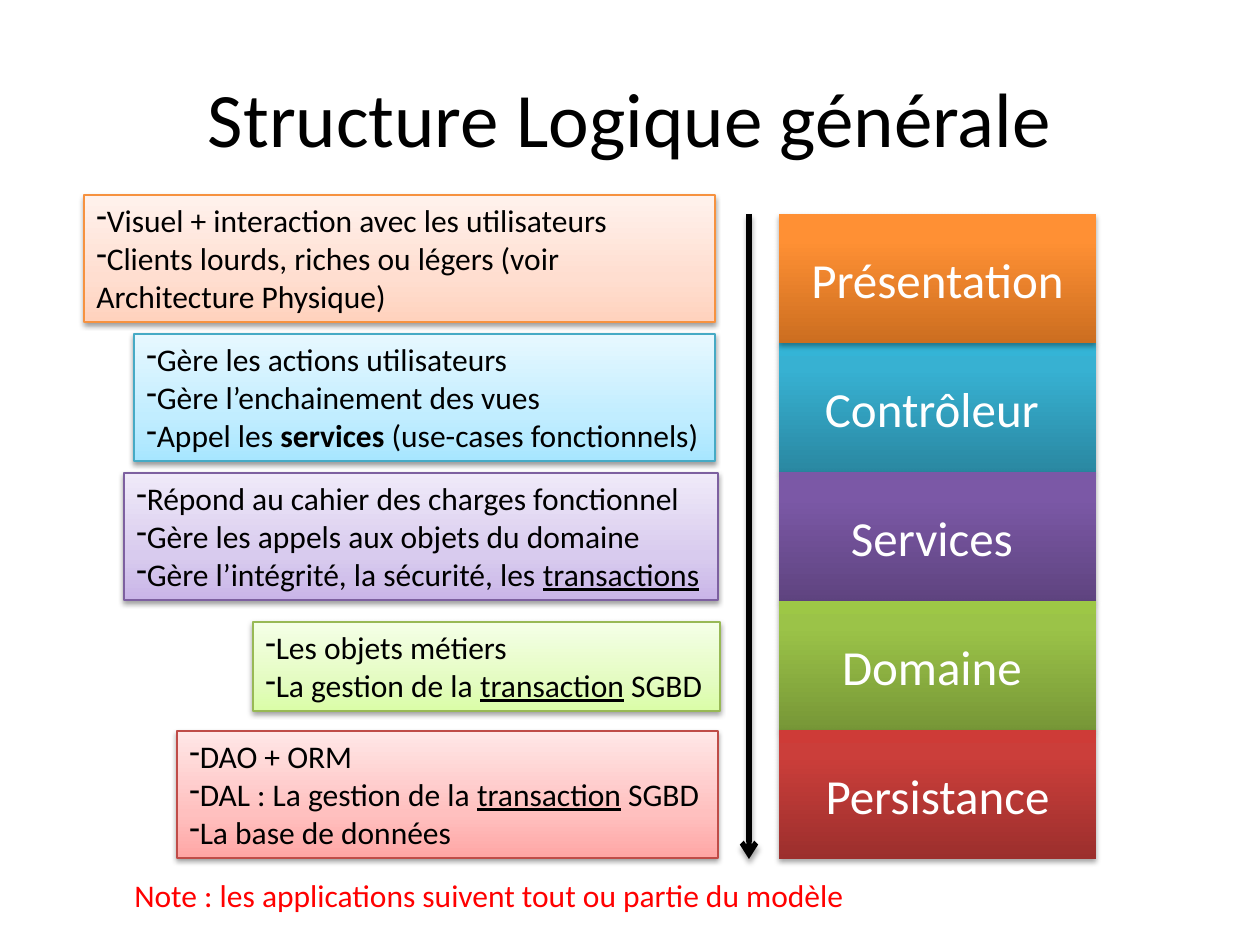
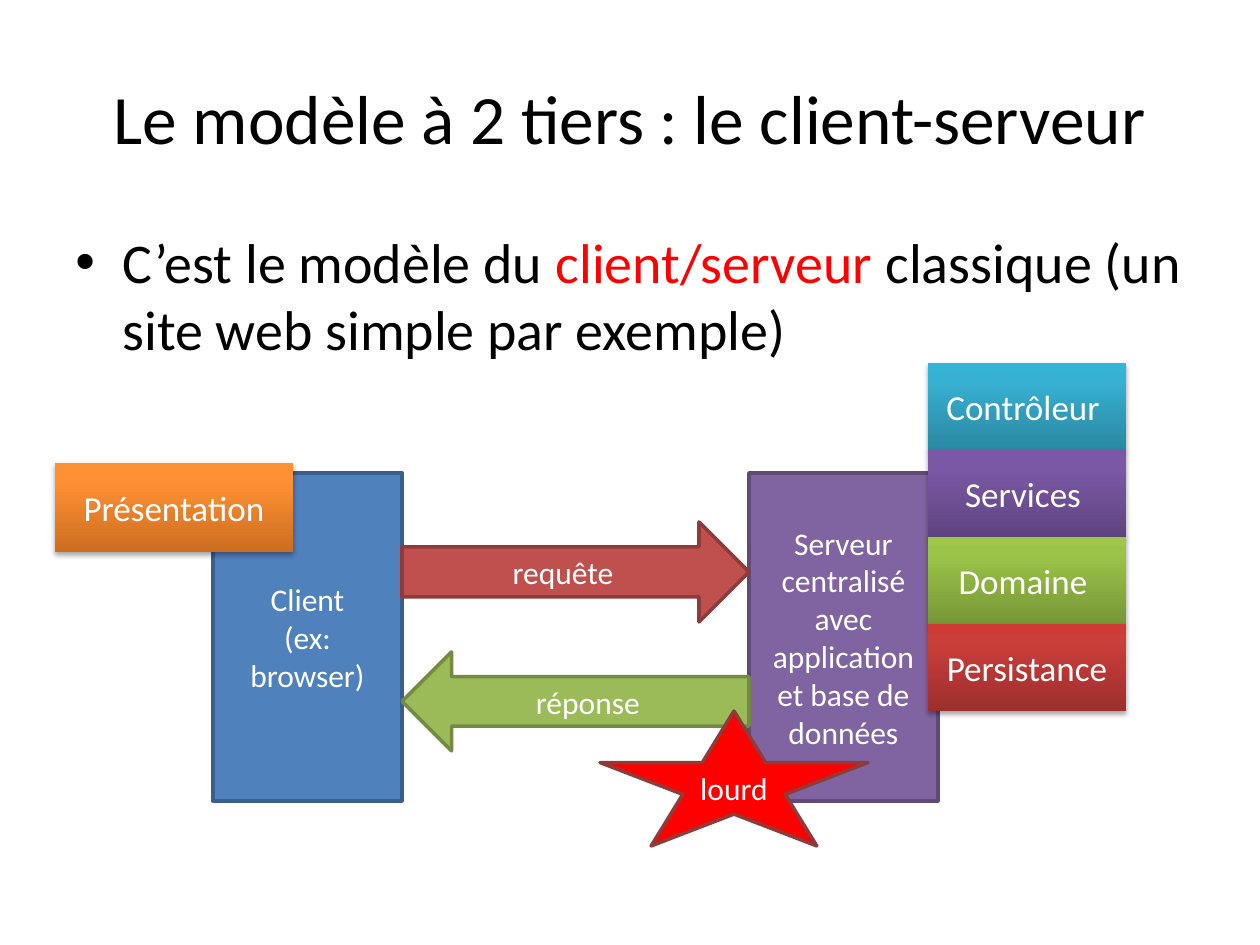
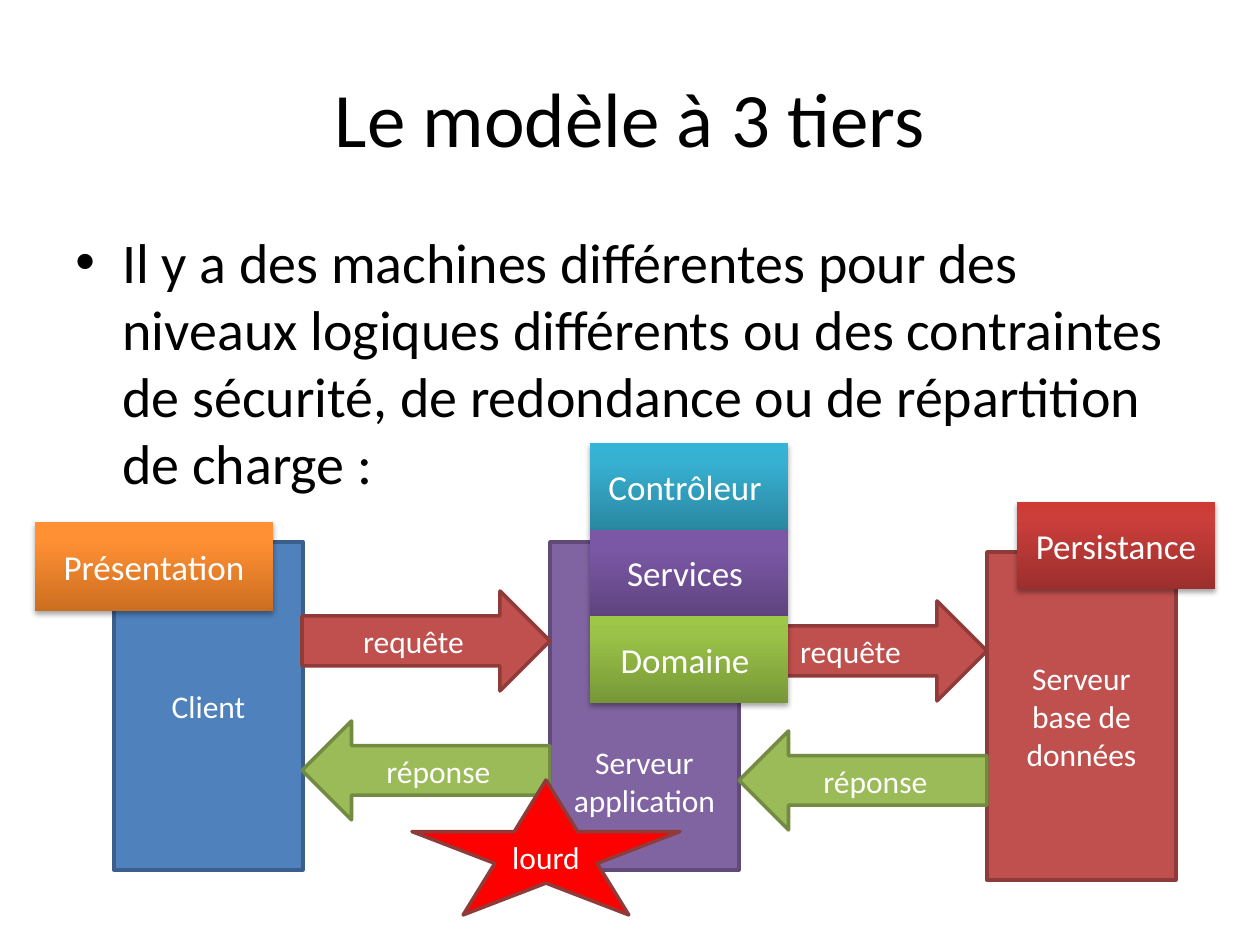
import dataclasses

import pptx
import pptx.dml.color
import pptx.enum.shapes
import pptx.enum.text
import pptx.oxml.ns
import pptx.util
from lxml import etree

SHAPES = pptx.enum.shapes.MSO_SHAPE
ALIGN = pptx.enum.text.PP_ALIGN
ANCHOR = pptx.enum.text.MSO_ANCHOR
qn = pptx.oxml.ns.qn
EMU_PER_PX = 914400 / 126


@dataclasses.dataclass(frozen=True)
class Layer:
    label: str
    gradient: tuple
    note_gradient: tuple
    note_line: str


class Theme:
    font = "Calibri"
    black, white, red = "000000", "FFFFFF", "FF0000"
    title, long_title, body = 44, 39.6, 32
    big_layer, small_layer, label = 28, 20, 18
    layer_stops, note_stops = (0, 80, 100), (0, 35, 100)
    # opacity %, blur pt, distance pt
    layer_shadow, note_shadow = (35, 3.1, 1.8), (38, 3.1, 1.6)
    # fill, line
    client = ("4F81BD", "3A5F8C")
    server = ("8064A2", "5F4A78")
    request = ("C0504D", "8E3B39")
    reply = ("9BBB59", "738A42")
    alert = ("FF0000", "8E3B39")
    presentation = Layer("Présentation", ("CC6E20", "FF9034", "FF9136"),
                         ("FFD2BD", "FFDED0", "FFF2ED"), "F69240")
    controller = Layer("Contrôleur ", ("2A88A2", "37B1D2", "34B4D6"),
                       ("A7E6FF", "C1EDFF", "E7F8FF"), "46AAC5")
    services = Layer("Services ", ("5F4480", "7B58A6", "7C57A8"),
                     ("C9B5E8", "D8CBEE", "F0EAF9"), "7D60A0")
    domain = Layer("Domaine ", ("779737", "9BC348", "9DC746"),
                   ("DAFDA7", "E4FCC2", "F5FFE7"), "98B955")
    persistence = Layer("Persistance", ("9C2F2D", "CB3E3A", "CE3B37"),
                        ("FFA6A5", "FFC0BF", "FFE7E7"), "BF4C48")


def px(length):
    return pptx.util.Emu(round(length * EMU_PER_PX))


def rgb(code):
    return pptx.dml.color.RGBColor.from_string(code)


def add_color(parent, code):
    return etree.SubElement(parent, qn("a:srgbClr"), val=code)


def write(shape, lines, size, color, align=ALIGN.LEFT, anchor=ANCHOR.TOP):
    """Fill a shape; a line is a string or a list of strings and (text, style) pairs."""
    frame = shape.text_frame
    frame.word_wrap = True
    frame.vertical_anchor = anchor
    for index, line in enumerate(lines):
        para = frame.paragraphs[0] if index == 0 else frame.add_paragraph()
        para.alignment = align
        para.font.name = Theme.font
        para.font.size = pptx.util.Pt(size)
        para.font.color.rgb = rgb(color)
        for part in [line] if isinstance(line, str) else line:
            text, style = (part, None) if isinstance(part, str) else part
            span = para.add_run()
            span.text = text
            if style == "bold":
                span.font.bold = True
            elif style == "underline":
                span.font.underline = True
            elif style == "red":
                span.font.color.rgb = rgb(Theme.red)
    return frame


def set_bullet(para, mark, indent=0, font=None):
    """Give a paragraph a hanging bullet, in the font of the text unless one is named."""
    properties = para._p.get_or_add_pPr()
    properties.set("marL", str(px(indent)))
    properties.set("indent", str(-px(indent)))
    if font:
        etree.SubElement(properties, qn("a:buFont"), typeface=font)
    else:
        etree.SubElement(properties, qn("a:buFontTx"))
    etree.SubElement(properties, qn("a:buChar"), char=mark)
    properties.append(properties.find(qn("a:defRPr")))


def add_shadow(effects, shadow):
    opacity, blur, distance = shadow
    outer = etree.SubElement(effects, qn("a:outerShdw"), blurRad=str(pptx.util.Pt(blur)),
                             dist=str(pptx.util.Pt(distance)), dir="5400000", rotWithShape="0")
    etree.SubElement(add_color(outer, Theme.black), qn("a:alpha"), val=str(opacity * 1000))


def add_text(page, box, lines, size, color, **layout):
    return write(page.shapes.add_textbox(*map(px, box)), lines, size, color, **layout)


def add_plain(page, kind, box):
    shape = page.shapes.add_shape(kind, *map(px, box))
    shape.shadow.inherit = False
    return shape


def add_gradient_box(page, box, colors, stops, shadow):
    shape = add_plain(page, SHAPES.RECTANGLE, box)
    shape.fill.gradient()
    shape.fill.gradient_angle = 90
    properties = shape._element.spPr
    stop_list = properties.find(".//" + qn("a:gsLst"))
    for stop in list(stop_list):
        stop_list.remove(stop)
    for position, color in zip(stops, colors):
        add_color(etree.SubElement(stop_list, qn("a:gs"), pos=str(position * 1000)), color)
    shape.line.fill.background()
    add_shadow(properties.find(qn("a:effectLst")), shadow)
    return shape


def add_flat(page, kind, box, colors, lines):
    """Flat coloured shape with a darker outline and a white centred label."""
    fill, line = colors
    shape = add_plain(page, kind, box)
    shape.fill.solid()
    shape.fill.fore_color.rgb = rgb(fill)
    shape.line.color.rgb = rgb(line)
    shape.line.width = pptx.util.Pt(2)
    return write(shape, lines, Theme.label, Theme.white, ALIGN.CENTER, ANCHOR.MIDDLE)


def add_layers(page, box, layers, size):
    """Stack the layers in equal shares of the box."""
    left, top, width, height = box
    share = height / len(layers)
    for row, layer in enumerate(layers):
        shape = add_gradient_box(page, (left, top + row * share, width, share),
                                 layer.gradient, Theme.layer_stops, Theme.layer_shadow)
        write(shape, [layer.label], size, Theme.white, ALIGN.CENTER, ANCHOR.MIDDLE)


def add_note(page, box, layer, lines):
    shape = add_gradient_box(page, box, layer.note_gradient, Theme.note_stops, Theme.note_shadow)
    shape.line.color.rgb = rgb(layer.note_line)
    shape.line.width = pptx.util.Pt(0.75)
    for para in write(shape, lines, Theme.label, Theme.black).paragraphs:
        set_bullet(para, "-")


def add_down_arrow(page, x, top, bottom):
    arrow = page.shapes.add_connector(pptx.enum.shapes.MSO_CONNECTOR.STRAIGHT,
                                      px(x), px(top), px(x), px(bottom))
    arrow.line.color.rgb = rgb(Theme.black)
    arrow.line.width = pptx.util.Pt(3)
    etree.SubElement(arrow.line._get_or_add_ln(), qn("a:tailEnd"), type="arrow")
    add_shadow(etree.SubElement(arrow._element.spPr, qn("a:effectLst")), Theme.layer_shadow)


def add_tier(page, left, top, colors, lines):
    return add_flat(page, SHAPES.RECTANGLE, (left, top, 189, 328), colors, lines)


def add_exchange(page, left, tier_top, width):
    """Request and reply arrows between two tiers."""
    add_flat(page, SHAPES.RIGHT_ARROW, (left, tier_top + 49, width, 100),
             Theme.request, ["requête"])
    add_flat(page, SHAPES.LEFT_ARROW, (left, tier_top + 179, width, 99),
             Theme.reply, ["réponse"])


def add_star(page, left, top):
    add_flat(page, SHAPES.STAR_5_POINT, (left, top, 268, 135), Theme.alert, ["lourd"])


def add_page(deck, title, size=Theme.title):
    page = deck.slides.add_slide(deck.slide_layouts[6])
    add_text(page, (63, 38, 1134, 158), [title], size, Theme.black,
             align=ALIGN.CENTER, anchor=ANCHOR.MIDDLE)
    return page


def add_body(page, line):
    frame = add_text(page, (63, 221, 1134, 624), [line], Theme.body, Theme.black)
    set_bullet(frame.paragraphs[0], "•", 47, "Arial")


def build_structure(deck):
    page = add_page(deck, "Structure Logique générale")
    left, top, width, share = 779, 214, 317, 129
    add_layers(page, (left, top + share, width, 4 * share),
               [Theme.controller, Theme.services, Theme.domain, Theme.persistence],
               Theme.big_layer)
    add_layers(page, (left, top, width, share), [Theme.presentation], Theme.big_layer)
    transaction = ("transaction", "underline")
    notes = [
        ((84, 195, 631, 127), Theme.presentation,
         ["Visuel + interaction avec les utilisateurs",
          "Clients lourds, riches ou légers (voir Architecture Physique)"]),
        ((134, 334, 581, 127), Theme.controller,
         ["Gère les actions utilisateurs", "Gère l’enchainement des vues",
          ["Appel les ", ("services", "bold"), " (use-cases fonctionnels)"]]),
        ((124, 473, 594, 127), Theme.services,
         ["Répond au cahier des charges fonctionnel", "Gère les appels aux objets du domaine",
          ["Gère l’intégrité, la sécurité, les ", ("transactions", "underline")]]),
        ((253, 622, 467, 89), Theme.domain,
         ["Les objets métiers", ["La gestion de la ", transaction, " SGBD"]]),
        ((177, 731, 541, 127), Theme.persistence,
         ["DAO + ORM", ["DAL : La gestion de la ", transaction, " SGBD"],
          "La base de données"]),
    ]
    for box, layer, lines in notes:
        add_note(page, box, layer, lines)
    add_down_arrow(page, 749, top, top + 5 * share)
    add_text(page, (122, 870, 745, 50),
             ["Note : les applications suivent tout ou partie du modèle"], Theme.label, Theme.red)


def build_two_tiers(deck):
    page = add_page(deck, "Le modèle à 2 tiers : le client-serveur", Theme.long_title)
    add_body(page, ["C’est le modèle du ", ("client/serveur", "red"),
                    " classique (un site web simple par exemple)"])
    top = 473
    add_tier(page, 213, top, Theme.client, ["Client", "(ex: browser)"])
    add_tier(page, 749, top, Theme.server,
             ["Serveur centralisé avec application et base de données"])
    add_exchange(page, 402, top, 347)
    add_layers(page, (55, 463, 238, 89), [Theme.presentation], Theme.small_layer)
    add_layers(page, (928, 363, 198, 348),
               [Theme.controller, Theme.services, Theme.domain, Theme.persistence],
               Theme.small_layer)
    add_star(page, 600, 711)


def build_three_tiers(deck):
    page = add_page(deck, "Le modèle à 3 tiers")
    add_body(page, "Il y a des machines différentes pour des niveaux logiques différents ou des "
                   "contraintes de sécurité, de redondance ou de répartition de charge :")
    top, database_top = 542, 552
    add_tier(page, 114, top, Theme.client, ["Client"])
    server = add_tier(page, 550, top, Theme.server, ["Serveur", "application"])
    server.margin_top = px(156)
    add_exchange(page, 302, top, 248)
    add_tier(page, 987, database_top, Theme.request, ["Serveur", "base de données"])
    add_exchange(page, 739, database_top, 248)
    add_layers(page, (590, 443, 198, 260),
               [Theme.controller, Theme.services, Theme.domain], Theme.small_layer)
    add_layers(page, (1017, 502, 198, 87), [Theme.persistence], Theme.small_layer)
    add_layers(page, (35, 522, 238, 89), [Theme.presentation], Theme.small_layer)
    add_star(page, 412, 780)


def main():
    deck = pptx.Presentation()
    deck.slide_width, deck.slide_height = px(1260), px(945)
    build_structure(deck)
    build_two_tiers(deck)
    build_three_tiers(deck)
    deck.save("out.pptx")


if __name__ == "__main__":
    main()
